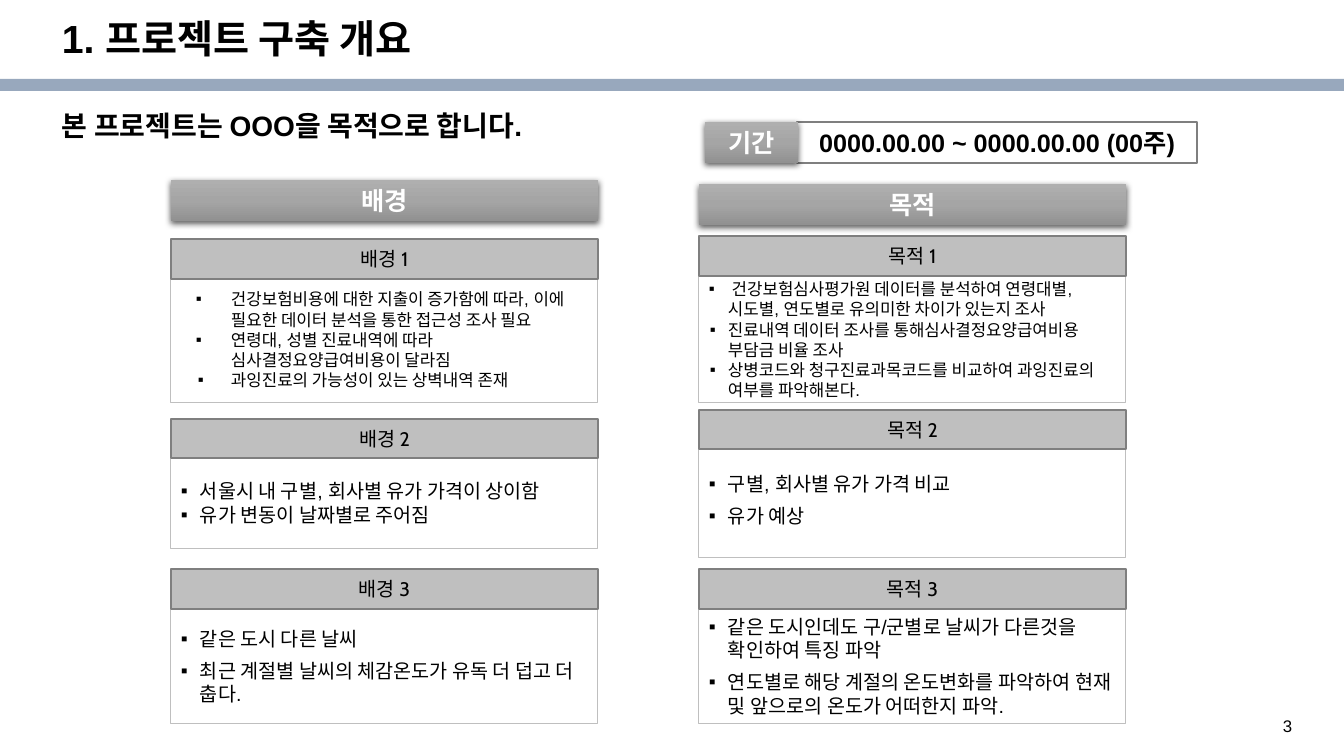
from pptx import Presentation
from pptx.dml.color import RGBColor
from pptx.enum.shapes import MSO_SHAPE as SHAPE
from pptx.enum.text import MSO_ANCHOR as ANCHOR, MSO_AUTO_SIZE as AUTOSIZE, PP_ALIGN as ALIGN
from pptx.oxml import parse_xml
from pptx.oxml.ns import nsdecls, qn
from pptx.util import Emu, Pt

PX = 914400 / 100.8
COLORS = {"black": "000000", "white": "FFFFFF", "bar": "98A8BD", "head": "BFBFBF",
          "edge": "7F7F7F", "light": "AFAFAF", "middle": "A5A5A5", "dark": "919191"}
RGB = {name: RGBColor.from_string(value) for name, value in COLORS.items()}
NS = nsdecls("a")


def write(shape, texts, size, color="black", font="Arial", bold=False, align=ALIGN.LEFT,
          anchor=ANCHOR.MIDDLE, insets=(10, 5), spacing=None, before=0, indents=()):
    """Fill a shape with paragraphs; indents holds (margin, hang) px per bullet."""
    frame = shape.text_frame
    across, down = (Emu(round(inset * PX)) for inset in insets)
    frame_format = {"word_wrap": True, "auto_size": AUTOSIZE.NONE, "vertical_anchor": anchor,
                    "margin_left": across, "margin_right": across,
                    "margin_top": down, "margin_bottom": down}
    for name, value in frame_format.items():
        setattr(frame, name, value)
    for index, text in enumerate(texts):
        para = frame.paragraphs[0] if index == 0 else frame.add_paragraph()
        span = para.add_run()
        span.text = text
        if indents:
            margin, hang = indents[index]
            props = para._p.get_or_add_pPr()
            props.set("marL", str(round(margin * PX)))
            props.set("indent", str(round(-hang * PX)))
            for bullet in (f'<a:buClr {NS}><a:srgbClr val="{COLORS["black"]}"/></a:buClr>',
                           f'<a:buFont {NS} typeface="Arial"/>',
                           f'<a:buChar {NS} char="▪"/>'):
                props.append(parse_xml(bullet))
        para.alignment = align
        para.line_spacing = spacing
        para.space_before = Pt(before if index else 0)
        for name, value in {"name": font, "size": Pt(size), "bold": bold}.items():
            setattr(span.font, name, value)
        span.font.color.rgb = RGB[color]


def add_box(left, top, width, height, fill, line=None, weight=0.75):
    """Add a rectangle; fill "raised" means a grey gradient with a shadow."""
    box = page.shapes.add_shape(SHAPE.RECTANGLE, *(Emu(round(v * PX)) for v in (left, top, width, height)))
    box.shadow.inherit = False
    if line:
        box.line.color.rgb = RGB[line]
        box.line.width = Pt(weight)
    else:
        box.line.fill.background()
    if fill != "raised":
        box.fill.solid()
        box.fill.fore_color.rgb = RGB[fill]
        return box
    box.fill.gradient()
    box.fill.gradient_angle = 270
    for stop, shade in zip(box.fill.gradient_stops, ("light", "dark")):
        stop.color.rgb = RGB[shade]
    props = box._element.spPr
    props.find(qn("a:gradFill")).find(qn("a:gsLst")).insert(1, parse_xml(
        f'<a:gs {NS} pos="50000"><a:srgbClr val="{COLORS["middle"]}"/></a:gs>'))
    props.find(qn("a:effectLst")).append(parse_xml(
        f'<a:outerShdw {NS} blurRad="57150" dist="19050" dir="5400000" algn="ctr" rotWithShape="0">'
        f'<a:srgbClr val="{COLORS["black"]}"><a:alpha val="63000"/></a:srgbClr></a:outerShdw>'))
    return box


deck = Presentation()
deck.slide_width, deck.slide_height = Emu(round(1344 * PX)), Emu(round(756 * PX))
page = deck.slides.add_slide(deck.slide_layouts[5])

# Bar under the title
add_box(0, 79, 1344, 12, "bar")

# Title, lead sentence and page number
title = page.shapes.title
lead = page.shapes.add_textbox(0, 0, 0, 0)
number = page.shapes.add_textbox(0, 0, 0, 0)
for box, bounds in ((title, (52, 15, 1159, 53)), (lead, (52, 107, 1211, 72)), (number, (1273, 711, 52, 27))):
    for name, value in zip(("left", "top", "width", "height"), bounds):
        setattr(box, name, Emu(round(value * PX)))
write(title, ["1. 프로젝트 구축 개요"], 28, bold=True, anchor=ANCHOR.TOP, spacing=0.9)
write(lead, ["본 프로젝트는 OOO을 목적으로 합니다."], 20, bold=True, anchor=ANCHOR.TOP, spacing=0.9)
write(number, ["3"], 12, anchor=ANCHOR.TOP)

# Two columns: heading, then (head top, head height, body top, body height, size, before, indents, bullets)
WIDTH = 427
HANG = [(19, 19)] * 2
COLUMNS = [
    ("배경", 171, 180, [
        (239, 40, 276, 127, 12, 0, [(50, 35), (50, 35), (50, 33)],
         ["건강보험비용에 대한 지출이 증가함에 따라, 이에 필요한 데이터 분석을 통한 접근성 조사 필요",
          "연령대, 성별 진료내역에 따라 심사결정요양급여비용이 달라짐",
          "과잉진료의 가능성이 있는 상벽내역 존재"]),
        (419, 39, 456, 93, 14, 0, HANG,
         ["서울시 내 구별, 회사별 유가 가격이 상이함", "유가 변동이 날짜별로 주어짐"]),
        (569, 40, 608, 116, 14, 6, HANG,
         ["같은 도시 다른 날씨", "최근 계절별 날씨의 체감온도가 유독 더 덥고 더 춥다."])]),
    ("목적", 699, 184, [
        (236, 40, 276, 127, 12, 0, [(19, 19), (19, 18), (19, 18)],
         [" 건강보험심사평가원 데이터를 분석하여 연령대별, 시도별, 연도별로 유의미한 차이가 있는지 조사",
          "진료내역 데이터 조사를 통해심사결정요양급여비용 부담금 비율 조사",
          "상병코드와 청구진료과목코드를 비교하여 과잉진료의 여부를 파악해본다."]),
        (410, 39, 442, 116, 14, 6, HANG,
         ["구별, 회사별 유가 가격 비교", "유가 예상"]),
        (569, 40, 608, 116, 14, 6, HANG,
         ["같은 도시인데도 구/군별로 날씨가 다른것을 확인하여 특징 파악",
          "연도별로 해당 계절의 온도변화를 파악하여 현재 및 앞으로의 온도가 어떠한지 파악."])]),
]
for heading, left, top, cards in COLUMNS:
    banner = add_box(left, top, WIDTH, 41, "raised")
    write(banner, [heading], 18, "white", bold=True, align=ALIGN.CENTER)
    for order, card in enumerate(cards, 1):
        head_top, head_height, body_top, body_height, size, before, indents, bullets = card
        body = add_box(left, body_top, WIDTH, body_height, "white", "head")
        write(body, bullets, size, before=before, indents=indents)
        head = add_box(left, head_top, WIDTH, head_height, "head", "edge", 1.5)
        write(head, [f"{heading} {order}"], 14, font="Cabin", align=ALIGN.CENTER, insets=(8, 8))

# Project period
period = add_box(797, 122, 400, 41, "white", "edge", 1)
write(period, ["0000.00.00 ~ 0000.00.00 (00주)"], 18, bold=True, align=ALIGN.CENTER)
period_label = add_box(705, 122, 93, 41, "raised")
write(period_label, ["기간"], 18, "white", bold=True, align=ALIGN.CENTER)

deck.save("out.pptx")
